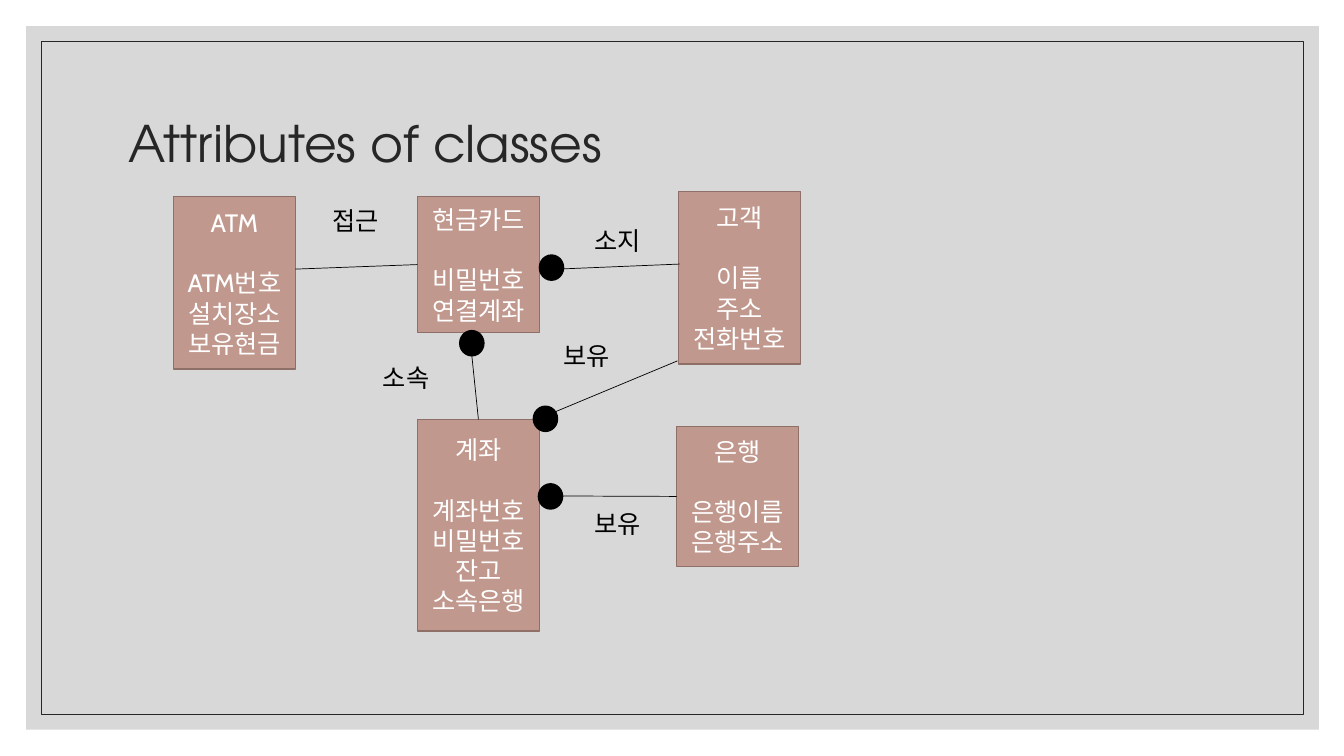
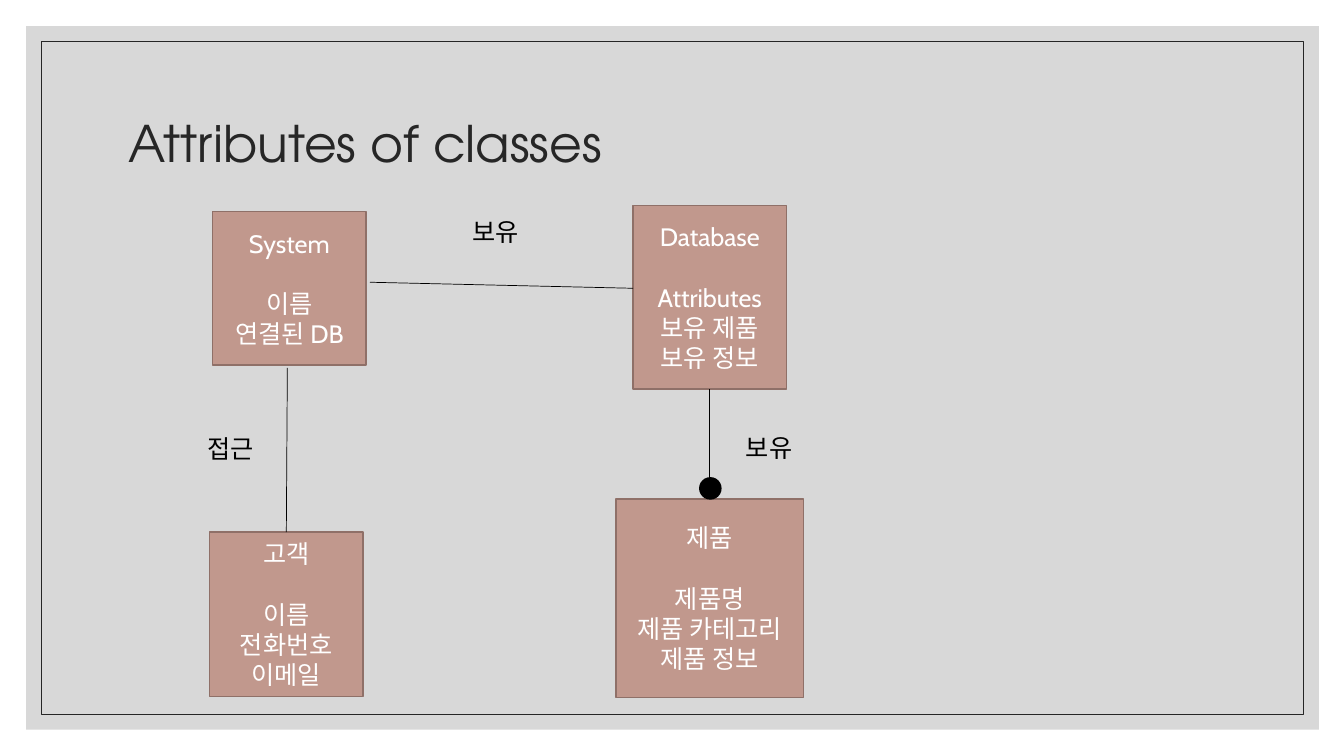
from dataclasses import dataclass
from typing import Optional

from lxml import etree
from pptx import Presentation
from pptx.dml.color import RGBColor
from pptx.enum import shapes, text
from pptx.oxml import ns
from pptx.util import Inches, Pt

# Shared look
WHITE = RGBColor(0xFF, 0xFF, 0xFF)
BLACK = RGBColor(0, 0, 0)
INK = RGBColor(0x26, 0x26, 0x26)
PANEL = RGBColor(0xBF, 0xBF, 0xBF)
CLAY = RGBColor(0xC1, 0x98, 0x8D)
CLAY_EDGE = RGBColor(0x8F, 0x70, 0x68)
TITLE_FONT = {"name": "TeX Gyre Adventor", "size": Pt(36)}
BODY_FONT = {"name": "Cabin", "size": Pt(18)}
TITLE_BOX = {"left": Inches(1.17), "top": Inches(0.7),
             "width": Inches(11), "height": Inches(1.5)}
TITLE = "Attributes of classes"
NAME_GAP = Pt(21.6)
THIN = Pt(0.5)
TOP, LEFT, BOTTOM = 0, 1, 2


@dataclass(frozen=True)
class ClassBox:
    name: str
    attributes: tuple[str, ...]
    left: float
    top: float
    width: float
    height: float


@dataclass(frozen=True)
class Label:
    caption: str
    left: float
    top: float


@dataclass(frozen=True)
class Link:
    start: tuple[float, float]
    end: tuple[float, float]
    start_join: Optional[tuple[str, int]] = None
    end_join: Optional[tuple[str, int]] = None


@dataclass(frozen=True)
class Dot:
    left: float
    top: float
    width: float = 0.24
    height: float = 0.25


@dataclass(frozen=True)
class Diagram:
    boxes: tuple[ClassBox, ...]
    links: tuple[Link, ...]
    dots: tuple[Dot, ...]
    labels: tuple[Label, ...]


ATM_DIAGRAM = Diagram(
    boxes=(
        ClassBox("ATM", ("ATM번호", "설치장소", "보유현금"), 1.72, 1.95, 1.21, 1.71),
        ClassBox("현금카드", ("비밀번호", "연결계좌"), 4.14, 1.95, 1.21, 1.35),
        ClassBox("고객", ("이름", "주소", "전화번호"), 6.73, 1.9, 1.21, 1.71),
        ClassBox("계좌", ("계좌번호", "비밀번호", "잔고", "소속은행"),
                 4.14, 4.16, 1.21, 2.1),
        ClassBox("은행", ("은행이름", "은행주소"), 6.71, 4.23, 1.21, 1.39),
    ),
    links=(
        Link((2.93, 2.67), (4.14, 2.62), end_join=("현금카드", LEFT)),
        Link((5.53, 2.67), (6.74, 2.62)),
        Link((6.71, 4.92), (5.35, 4.92), start_join=("은행", LEFT)),
        Link((4.68, 3.53), (4.74, 4.16), end_join=("계좌", TOP)),
        Link((6.72, 3.58), (5.4, 4.13)),
    ),
    dots=(Dot(5.35, 2.53), Dot(4.56, 3.28), Dot(5.34, 4.8), Dot(5.29, 4.03)),
    labels=(
        Label("접근", 3.2, 1.99),
        Label("소지", 5.8, 2.19),
        Label("보유", 5.49, 3.33),
        Label("소속", 3.7, 3.55),
        Label("보유", 5.8, 4.99),
    ),
)

STORE_DIAGRAM = Diagram(
    boxes=(
        ClassBox("System", ("이름", "연결된 DB"), 2.11, 2.1, 1.52, 1.52),
        ClassBox("Database", ("Attributes", "보유 제품", "보유 정보"),
                 6.28, 2.04, 1.52, 1.82),
        ClassBox("고객", ("이름", "전화번호", "이메일"), 2.08, 5.28, 1.52, 1.63),
        ClassBox("제품", ("제품명", "제품 카테고리", "제품 정보"),
                 6.11, 4.95, 1.86, 1.97),
    ),
    links=(
        Link((3.67, 2.8), (6.28, 2.86)),
        Link((7.04, 3.86), (7.04, 4.76), start_join=("Database", BOTTOM)),
        Link((2.85, 3.65), (2.84, 5.28), end_join=("고객", TOP)),
    ),
    dots=(Dot(6.94, 4.74, 0.21, 0.21),),
    labels=(
        Label("접근", 1.96, 4.25),
        Label("보유", 7.3, 4.24),
        Label("보유", 4.59, 2.1),
    ),
)


def set_values(target, values: dict) -> None:
    for attribute, value in values.items():
        setattr(target, attribute, value)


def set_font(paragraph, values: dict, color: RGBColor) -> None:
    set_values(paragraph.font, values)
    paragraph.font.color.rgb = color


def add_preset(slide, preset, left: float, top: float, width: float, height: float,
               fill: Optional[RGBColor], line: Optional[RGBColor], weight=Pt(1)):
    shape = slide.shapes.add_shape(
        preset, Inches(left), Inches(top), Inches(width), Inches(height))
    shape.shadow.inherit = False
    if fill is None:
        shape.fill.background()
    else:
        shape.fill.solid()
        shape.fill.fore_color.rgb = fill
    if line is None:
        shape.line.fill.background()
    else:
        shape.line.color.rgb = line
        shape.line.width = weight
    return shape


def add_frame(slide, layout) -> None:
    """Put the grey panel and its thin border on the shared layout."""
    rectangle = shapes.MSO_SHAPE.RECTANGLE
    panel = add_preset(slide, rectangle, 0.26, 0.26, 12.82, 6.98, PANEL, None)
    color = panel.element.spPr.find(ns.qn("a:solidFill"))[0]
    etree.SubElement(color, ns.qn("a:alpha"), val="60000")
    border = add_preset(slide, rectangle, 0.41, 0.41, 12.52, 6.68, None, INK, THIN)
    for index, shape in enumerate((panel, border), start=2):
        layout.shapes.element.insert(index, shape.element)


def add_title(slide) -> None:
    title = slide.shapes.title
    set_values(title, TITLE_BOX)
    frame = title.text_frame
    frame.text = TITLE
    set_values(frame, {"auto_size": text.MSO_AUTO_SIZE.NONE,
                       "vertical_anchor": text.MSO_ANCHOR.MIDDLE})
    paragraph = frame.paragraphs[0]
    set_values(paragraph, {"alignment": text.PP_ALIGN.LEFT, "line_spacing": 0.9})
    set_font(paragraph, TITLE_FONT, INK)


def add_class_box(slide, box: ClassBox):
    shape = add_preset(slide, shapes.MSO_SHAPE.RECTANGLE, box.left, box.top,
                       box.width, box.height, CLAY, CLAY_EDGE)
    frame = shape.text_frame
    set_values(frame, {"word_wrap": True,
                       "vertical_anchor": text.MSO_ANCHOR.MIDDLE,
                       "margin_left": Inches(0.05), "margin_right": Inches(0.05)})
    frame.text = "\n".join((box.name, *box.attributes))
    for paragraph in frame.paragraphs:
        paragraph.alignment = text.PP_ALIGN.CENTER
        set_font(paragraph, BODY_FONT, WHITE)
    frame.paragraphs[0].space_after = NAME_GAP
    return shape


def add_link(slide, link: Link, boxes: dict) -> None:
    connector = slide.shapes.add_connector(
        shapes.MSO_CONNECTOR.STRAIGHT,
        *(Inches(value) for value in (*link.start, *link.end)))
    if link.start_join:
        name, side = link.start_join
        connector.begin_connect(boxes[name], side)
    if link.end_join:
        name, side = link.end_join
        connector.end_connect(boxes[name], side)
    connector.line.color.rgb = BLACK
    connector.line.width = THIN
    etree.SubElement(connector.element.spPr, ns.qn("a:effectLst"))


def add_label(slide, label: Label) -> None:
    shape = slide.shapes.add_textbox(
        Inches(label.left), Inches(label.top), Inches(0.77), Inches(0.4))
    frame = shape.text_frame
    frame.text = label.caption
    set_values(frame, {"word_wrap": True,
                       "auto_size": text.MSO_AUTO_SIZE.SHAPE_TO_FIT_TEXT})
    set_font(frame.paragraphs[0], BODY_FONT, BLACK)


def draw_diagram(slide, diagram: Diagram) -> None:
    boxes = {box.name: add_class_box(slide, box) for box in diagram.boxes}
    for link in diagram.links:
        add_link(slide, link, boxes)
    for dot in diagram.dots:
        add_preset(slide, shapes.MSO_SHAPE.OVAL, dot.left, dot.top,
                   dot.width, dot.height, BLACK, BLACK)
    for label in diagram.labels:
        add_label(slide, label)


def main() -> None:
    presentation = Presentation()
    presentation.slide_width = Inches(13.33)
    presentation.slide_height = Inches(7.5)
    layout = presentation.slide_layouts.get_by_name("Title Only")
    for number, diagram in enumerate((ATM_DIAGRAM, STORE_DIAGRAM)):
        slide = presentation.slides.add_slide(layout)
        if number == 0:
            add_frame(slide, layout)
        add_title(slide)
        draw_diagram(slide, diagram)
    presentation.save("out.pptx")


if __name__ == "__main__":
    main()
